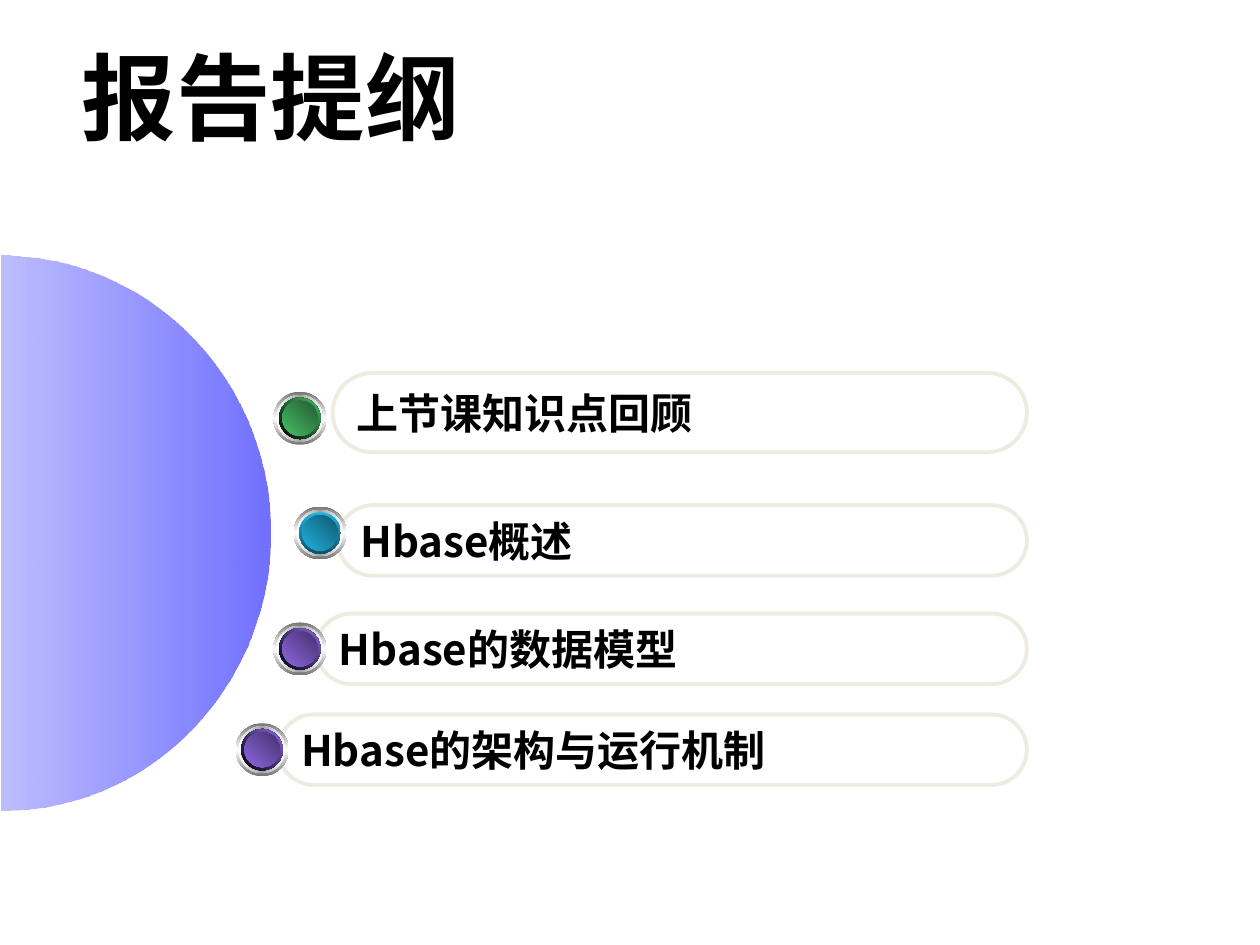
import math
from dataclasses import dataclass

from lxml import etree
from pptx import Presentation
from pptx import util as u
from pptx.dml.color import RGBColor
from pptx.enum import shapes, text
from pptx.oxml import ns

FONT = "Noto Sans CJK SC"
BLACK = "000000"
PILL_LINE = "EEECE1"


@dataclass
class Stop:
    position: int
    color: str
    alpha: int = 100


@dataclass
class Topic:
    title: str
    left: float
    top: float
    height: float
    ball_x: float
    ball_y: float
    rim: tuple[str, str]
    rim_angle: int
    face: tuple[str, str]


PILL_RIGHT = 8.15
PURPLE_RIM, PURPLE_FACE = (BLACK, "8D67E1"), ("8D67E1", "45326D")
TOPICS = [
    Topic("上节课知识点回顾", 2.64, 2.96, 0.63, 2.38, 3.32,
          (BLACK, "48BE67"), 315, ("48BE67", "235C32")),
    Topic("Hbase概述", 2.68, 4.01, 0.56, 2.54, 4.23,
          ("21B3E1", "0F5368"), 90, ("21B3E1", "10576D")),
    Topic("Hbase的数据模型", 2.51, 4.87, 0.56, 2.38, 5.15,
          PURPLE_RIM, 315, PURPLE_FACE),
    Topic("Hbase的架构与运行机制", 2.21, 5.67, 0.56, 2.08, 5.95,
          PURPLE_RIM, 315, PURPLE_FACE),
]


def rgb(color: str) -> RGBColor:
    return RGBColor.from_string(color)


def fill_gradient(shape, stops: list[Stop], angle: int) -> None:
    """Fill with a linear gradient; the angle runs clockwise in degrees."""
    shape.shadow.inherit = False
    shape.line.fill.background()
    shape.fill.gradient()
    shape.fill.gradient_angle = (360 - angle) % 360
    stop_list = shape.fill._fill._gradFill.find(ns.qn("a:gsLst"))
    for old in list(stop_list):
        stop_list.remove(old)
    for stop in stops:
        gs = etree.SubElement(stop_list, ns.qn("a:gs"), pos=str(stop.position * 1000))
        color = etree.SubElement(gs, ns.qn("a:srgbClr"), val=stop.color)
        if stop.alpha < 100:
            etree.SubElement(color, ns.qn("a:alpha"), val=str(stop.alpha * 1000))


def write(frame, content: str, size: int) -> None:
    frame.text = content
    frame.vertical_anchor = text.MSO_ANCHOR.MIDDLE
    paragraph = frame.paragraphs[0]
    paragraph.alignment = text.PP_ALIGN.LEFT
    for run in paragraph.runs:
        run.font.name = FONT
        run.font.size = u.Pt(size)
        run.font.bold = True
        run.font.color.rgb = rgb(BLACK)
        etree.SubElement(run.font._element, ns.qn("a:ea"), typeface=FONT)


def draw_half_disc(slide) -> None:
    center_x, center_y, radius_x, radius_y = 0.01, 4.23, 2.14, 2.2
    steps = 90
    angles = [math.pi * (i / steps - 0.5) for i in range(steps + 1)]
    arc = [(u.Inches(center_x + radius_x * math.cos(a)),
            u.Inches(center_y + radius_y * math.sin(a))) for a in angles]
    builder = slide.shapes.build_freeform(*arc[0])
    builder.add_line_segments(arc[1:], close=True)
    fill_gradient(builder.convert_to_shape(),
                  [Stop(0, "8080FF", 52), Stop(100, "0000FF", 56)], 0)


def draw_pill(slide, topic: Topic) -> None:
    pill = slide.shapes.add_shape(
        shapes.MSO_SHAPE.ROUNDED_RECTANGLE, u.Inches(topic.left), u.Inches(topic.top),
        u.Inches(PILL_RIGHT - topic.left), u.Inches(topic.height))
    pill.adjustments[0] = 0.5
    pill.shadow.inherit = False
    pill.fill.background()
    pill.line.color.rgb = rgb(PILL_LINE)
    pill.line.width = u.Pt(2.25)
    pill.text_frame.word_wrap = False
    write(pill.text_frame, topic.title, 24)


def draw_ball(slide, topic: Topic) -> None:
    layers = [
        (0.42, ("767676", "FFFFFF", "767676"), 90),
        (0.37, ("FFFFFF", "A2A2A2", "FFFFFF"), 0),
        (0.33, topic.rim, topic.rim_angle),
        (0.28, topic.face, 315),
    ]
    ball = slide.shapes.add_group_shape()
    for size, colors, angle in layers:
        disc = ball.shapes.add_shape(
            shapes.MSO_SHAPE.OVAL, u.Inches(topic.ball_x - size / 2),
            u.Inches(topic.ball_y - size / 2), u.Inches(size), u.Inches(size))
        stops = [Stop(100 * i // (len(colors) - 1), c) for i, c in enumerate(colors)]
        fill_gradient(disc, stops, angle)


def main() -> None:
    deck = Presentation()
    deck.slide_width, deck.slide_height = u.Inches(10), u.Inches(7.5)
    slide = deck.slides.add_slide(deck.slide_layouts[6])

    # Heading
    heading = slide.shapes.add_textbox(
        u.Inches(0.55), u.Inches(0.29), u.Inches(8.08), u.Inches(0.94))
    heading.text_frame.word_wrap = True
    write(heading.text_frame, "报告提纲", 54)

    # Half disc at the left edge
    draw_half_disc(slide)

    # Outline topics, each with its ball
    for topic in TOPICS:
        draw_pill(slide, topic)
        draw_ball(slide, topic)

    deck.save("out.pptx")


if __name__ == "__main__":
    main()
